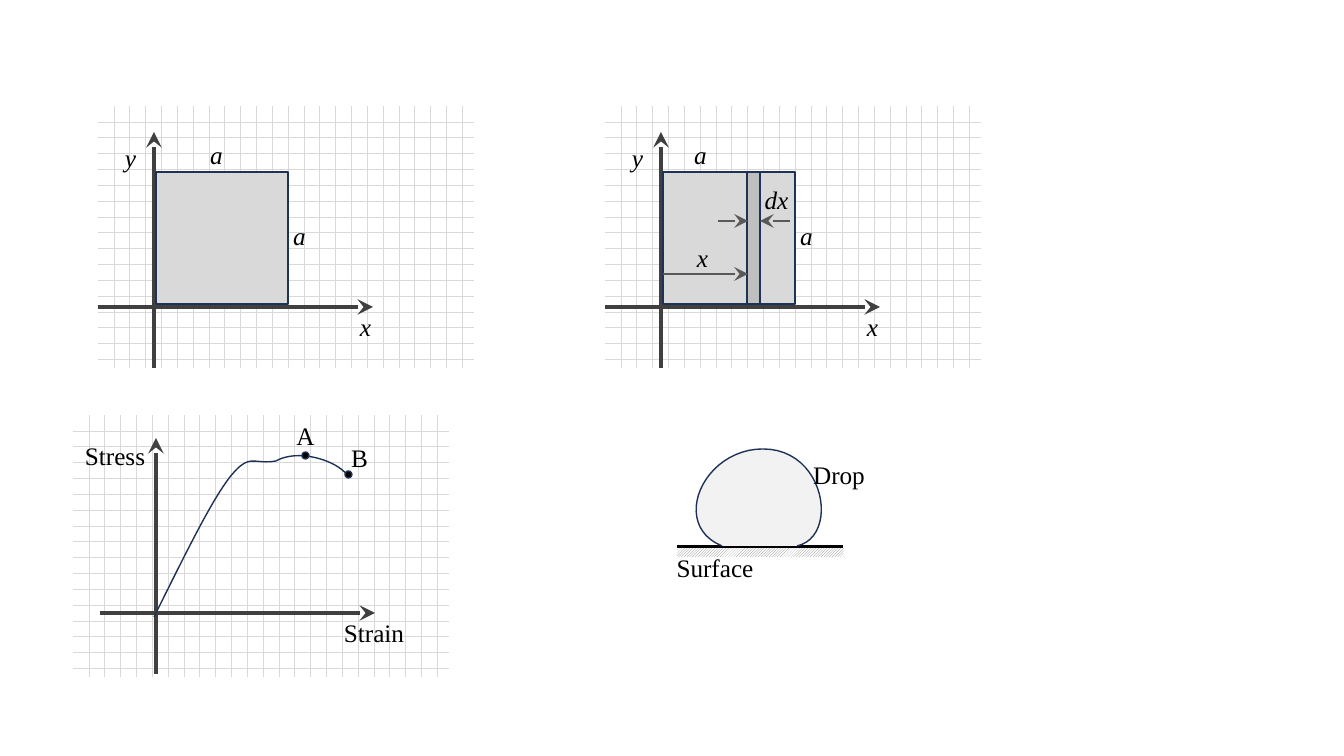
import pptx
import pptx.dml.color
import pptx.enum.dml
import pptx.enum.shapes
import pptx.enum.text
import pptx.oxml
import pptx.oxml.ns
import pptx.util
from lxml import etree

SCALE = 914400 / 100.8  # EMU in one px
FONT = "Times New Roman"
BLACK, NAVY, AXIS, DIMENSION = "000000", "1E3256", "404040", "595959"
LABEL_WIDTH, LABEL_HEIGHT = 51, 30
GRID_WIDTH, GRID_HEIGHT = 376, 262
SIDE = 132
CURVE_STEPS = 24
PATTERN = pptx.enum.dml.MSO_PATTERN
SHAPE = pptx.enum.shapes.MSO_SHAPE


def px(length):
    return pptx.util.Emu(round(length * SCALE))


def color(value):
    return pptx.dml.color.RGBColor.from_string(value)


# Drawing helpers
def style_shape(shape, fill=None, line=None, pattern=None):
    shape.shadow.inherit = False
    if pattern:
        shape.fill.patterned()
        shape.fill.pattern = pattern
        shape.fill.fore_color.rgb = color(fill)
        shape.fill.back_color.rgb = color("FFFFFF")
    elif fill:
        shape.fill.solid()
        shape.fill.fore_color.rgb = color(fill)
    else:
        shape.fill.background()
    if line:
        shape.line.color.rgb = color(line)
        shape.line.width = pptx.util.Pt(1)
    else:
        shape.line.fill.background()


def add_block(shapes, left, top, width, height, fill, line=None,
              pattern=None, kind=SHAPE.RECTANGLE):
    block = shapes.add_shape(kind, px(left), px(top), px(width), px(height))
    style_shape(block, fill, line, pattern)


def add_line(shapes, start, end, line, width, arrow=True):
    connector = shapes.add_connector(
        pptx.enum.shapes.MSO_CONNECTOR.STRAIGHT,
        px(start[0]), px(start[1]), px(end[0]), px(end[1]))
    connector.line.color.rgb = color(line)
    connector.line.width = pptx.util.Pt(width)
    if arrow:
        head = etree.SubElement(connector.line._get_or_add_ln(),
                                pptx.oxml.ns.qn("a:tailEnd"))
        for name, value in (("type", "stealth"), ("w", "lg"), ("len", "lg")):
            head.set(name, value)
    etree.SubElement(connector._element.spPr, pptx.oxml.ns.qn("a:effectLst"))


def add_label(shapes, text, left, top, width=LABEL_WIDTH, italic=False):
    box = shapes.add_textbox(px(left), px(top), px(width), px(LABEL_HEIGHT))
    frame = box.text_frame
    frame.word_wrap = True
    frame.auto_size = pptx.enum.text.MSO_AUTO_SIZE.SHAPE_TO_FIT_TEXT
    frame.margin_left = frame.margin_right = 0
    frame.margin_top = frame.margin_bottom = 0
    para = frame.paragraphs[0]
    para.alignment = pptx.enum.text.PP_ALIGN.CENTER
    span = para.add_run()
    span.text = text
    span.font.name = FONT
    span.font.size = pptx.util.Pt(18)
    span.font.italic = italic
    span.font.color.rgb = color(BLACK)


def add_curve(shapes, left, top, knots, fill=None):
    """Draw joined cubic curves; knots are start, then two handles and an end each."""
    points = []
    for first in range(0, len(knots) - 1, 3):
        a, b, c, d = knots[first:first + 4]
        for step in range(CURVE_STEPS + 1):
            t = step / CURVE_STEPS
            u = 1 - t
            x, y = (u**3 * a[i] + 3 * u * u * t * b[i] + 3 * u * t * t * c[i]
                    + t**3 * d[i] for i in (0, 1))
            points.append((px(left + x), px(top + y)))
    builder = shapes.build_freeform(*points[0])
    builder.add_line_segments(points[1:], close=False)
    style_shape(builder.convert_to_shape(), fill, NAVY)


# Grid and axes
def add_grid(shapes, left, top):
    add_block(shapes, left, top, GRID_WIDTH, GRID_HEIGHT, "D9D9D9",
              pattern=PATTERN.DOTTED_GRID)


def add_axes(shapes, left, top):
    add_line(shapes, (left + 56, top + 236), (left + 56, top), AXIS, 2.25)
    add_line(shapes, (left, top + 175), (left + 275, top + 175), AXIS, 2.25)


# Square on axes
def add_square_plot(shapes, left, top, top_label):
    add_grid(shapes, left, top)
    add_axes(shapes, left, top + 26)
    add_block(shapes, left + 58, top + 66, SIDE, SIDE, "D9D9D9", NAVY)
    for text, x, y in (("x", 242, 205), ("y", 7, 36),
                       ("a", 176, 114), ("a", top_label, 33)):
        add_label(shapes, text, left + x, top + y, italic=True)


# Strip of width dx inside the square
def add_strip(shapes, left, top):
    add_block(shapes, left + 142, top + 66, 13, SIDE, "BFBFBF", NAVY)
    for start, end, y in ((58, 143, 168), (113, 143, 115), (185, 155, 115)):
        add_line(shapes, (left + start, top + y), (left + end, top + y),
                 DIMENSION, 1.5)
    add_label(shapes, "x", left + 72, top + 136, italic=True)
    add_label(shapes, "dx", left + 146, top + 78, italic=True)


# Stress and strain curve
def add_stress_plot(shapes, left, top):
    add_grid(shapes, left, top)
    add_axes(shapes, left + 27, top + 23)
    add_curve(shapes, left, top, [
        (81, 202), (112, 140), (137, 88), (157, 62), (177, 37),
        (180, 50), (203, 46), (226, 33), (265, 46), (275, 61)])
    for x, y in ((229, 37), (272, 56)):
        add_block(shapes, left + x, top + y, 7, 7, BLACK, NAVY, kind=SHAPE.OVAL)
    for text, x, y, width in (("Strain", 269, 202, 64), ("Stress", 10, 25, 64),
                              ("A", 207, 5, LABEL_WIDTH),
                              ("B", 261, 27, LABEL_WIDTH)):
        add_label(shapes, text, left + x, top + y, width)


# Drop resting on a surface
def add_drop(shapes, left, top):
    surface = shapes.add_group_shape().shapes
    add_line(surface, (left, top + 98), (left + 166, top + 98), BLACK, 2.25,
             arrow=False)
    add_block(surface, left, top + 99, 167, 9, "808080",
              pattern=PATTERN.DARK_UPWARD_DIAGONAL)
    add_curve(shapes, left, top, [
        (45, 97), (-7, 76), (26, 0), (86, 0),
        (149, 0), (162, 88), (120, 97)], "F2F2F2")
    add_label(shapes, "Drop", left + 130, top + 10, 64)
    add_label(shapes, "Surface", left - 18, top + 103, 112)


def main():
    deck = pptx.Presentation()
    deck.slide_width, deck.slide_height = px(1344), px(756)
    shapes = deck.slides.add_slide(deck.slide_layouts[6]).shapes
    add_square_plot(shapes, 98, 106, top_label=93)
    add_square_plot(shapes, 605, 106, top_label=70)
    add_strip(shapes, 605, 106)
    add_stress_plot(shapes, 73, 415)
    add_drop(shapes, 677, 449)
    deck.save("out.pptx")


if __name__ == "__main__":
    main()
